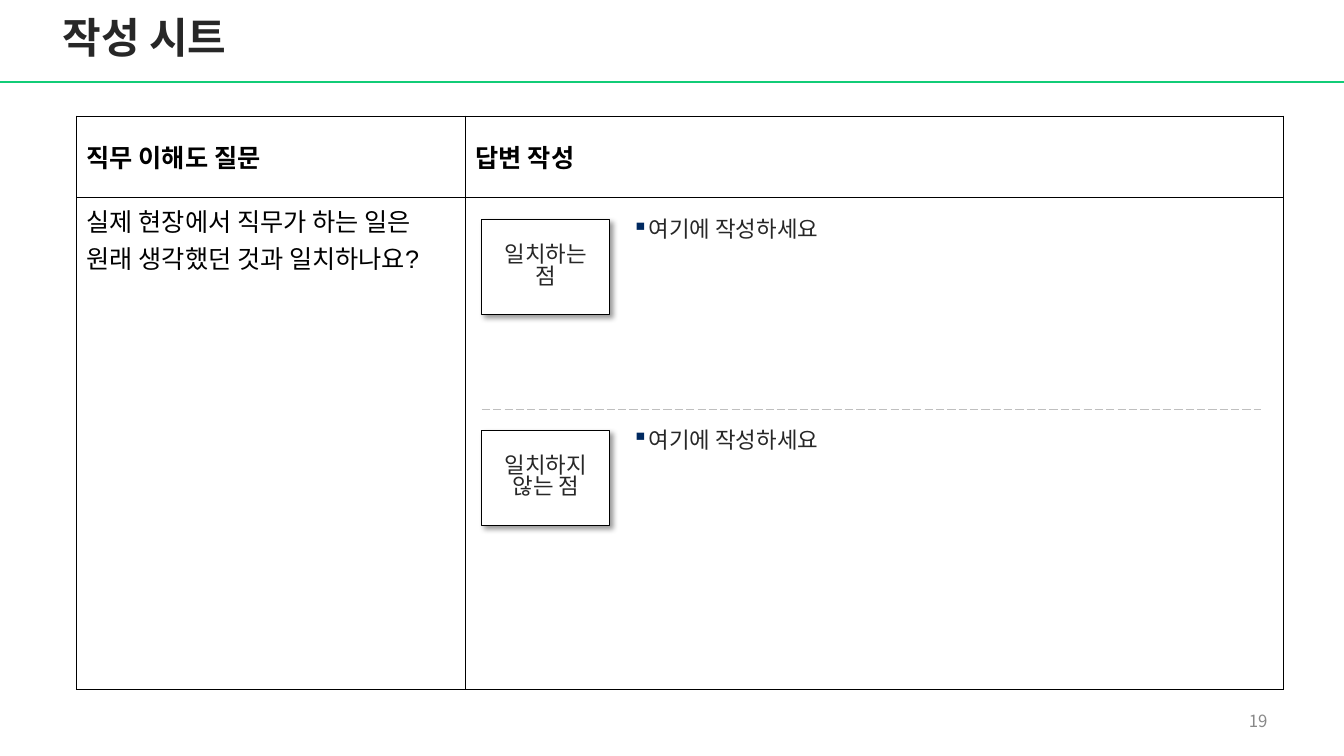
from dataclasses import dataclass

from lxml import etree
from pptx import Presentation
from pptx import util as u
from pptx.dml import color as col
from pptx.enum import dml, shapes, text
from pptx.oxml import ns


@dataclass(frozen=True)
class Theme:
    font: str = "Arial"
    cjk: str = "Noto Sans CJK KR"
    ink: str = "272727"
    black: str = "000000"
    white: str = "FFFFFF"
    green: str = "11CC77"
    navy: str = "002960"
    gray: str = "888888"
    rule: str = "BFBFBF"
    title: int = 30
    head: int = 18
    body: int = 16
    small: int = 12
    thin: float = 0.75
    thick: float = 1.5


@dataclass(frozen=True)
class Area:
    x: float
    y: float
    w: float
    h: float


@dataclass(frozen=True)
class Topic:
    label: str
    note: str


T = Theme()
WIDE, HIGH = u.Inches(13.33), u.Inches(7.5)
COLS = (28.95, 60.85)
ROWS = (10.8, 65.07)
GRID = Area(5.7, 15.35, sum(COLS), sum(ROWS))
HEADS = ("직무 이해도 질문", "답변 작성")
ASK = "실제 현장에서 직무가 하는 일은 원래 생각했던 것과 일치하나요?"
TOPICS = (
    Topic("일치하는 점", "여기에 작성하세요"),
    Topic("일치하지\v않는 점", "여기에 작성하세요"),
)
CARD = Area(35.85, 29.07, 9.53, 12.53)
NOTE = Area(47.03, 29.07, 45.45, 3.6)
STEP = 27.86


def across(share: float) -> int:
    return round(WIDE * share / 100)


def down(share: float) -> int:
    return round(HIGH * share / 100)


def place(area: Area) -> tuple[int, int, int, int]:
    return across(area.x), down(area.y), across(area.w), down(area.h)


def rgb(tone: str) -> col.RGBColor:
    return col.RGBColor.from_string(tone)


def node(top, tag: str, **attrs: str):
    return etree.SubElement(top, ns.qn(tag), attrs)


def write(frame, words: str, size: int, tone: str, bold: bool = False,
          face: str = T.font, align=text.PP_ALIGN.LEFT, space: float = 1.0):
    frame.word_wrap = True
    para = frame.paragraphs[0]
    para.text = words
    para.alignment = align
    para.line_spacing = space
    font = para.font
    font.name, font.size, font.bold = face, u.Pt(size), bold
    font.color.rgb = rgb(tone)
    return para


def label(slide, area: Area, inset: float = 0):
    frame = slide.shapes.add_textbox(*place(area)).text_frame
    frame.margin_left = frame.margin_right = u.Inches(inset)
    frame.margin_top = frame.margin_bottom = u.Inches(inset / 2)
    return frame


def line(slide, start: float, end: float, y: float, tone: str,
         weight: float, dash=None) -> None:
    rule = slide.shapes.add_connector(
        shapes.MSO_CONNECTOR.STRAIGHT, across(start), down(y), across(end), down(y))
    rule.line.color.rgb = rgb(tone)
    rule.line.width = u.Pt(weight)
    if dash is not None:
        rule.line.dash_style = dash
    node(rule._element.spPr, "a:effectLst")


def border(cell) -> None:
    props = cell._tc.get_or_add_tcPr()
    for spot, side in enumerate("LRTB"):
        edge = node(props, f"a:ln{side}", w=str(u.Pt(T.thin)))
        node(node(edge, "a:solidFill"), "a:srgbClr", val=T.black)
        props.insert(spot, edge)


def table(slide) -> None:
    grid = slide.shapes.add_table(len(ROWS), len(COLS), *place(GRID)).table
    grid.first_row = grid.horz_banding = False
    for part, share in zip(grid.columns, COLS):
        part.width = across(share)
    for part, share in zip(grid.rows, ROWS):
        part.height = down(share)
    for cell in grid.iter_cells():
        cell.fill.background()
        border(cell)
    for spot, head in enumerate(HEADS):
        cell = grid.cell(0, spot)
        cell.vertical_anchor = text.MSO_ANCHOR.MIDDLE
        write(cell.text_frame, head, T.head, T.black, bold=True)
    write(grid.cell(1, 0).text_frame, ASK, T.head, T.black)


def shade(shape) -> None:
    shape.shadow.inherit = False
    glow = node(shape._element.spPr.find(ns.qn("a:effectLst")), "a:outerShdw",
                blurRad=str(u.Pt(4)), dist=str(u.Pt(3)), dir="2700000",
                algn="tl", rotWithShape="0")
    node(node(glow, "a:srgbClr", val=T.black), "a:alpha", val="40000")


def card(slide, area: Area, words: str) -> None:
    box = slide.shapes.add_shape(shapes.MSO_SHAPE.RECTANGLE, *place(area))
    box.fill.solid()
    box.fill.fore_color.rgb = rgb(T.white)
    box.line.color.rgb = rgb(T.black)
    box.line.width = u.Pt(T.thin)
    shade(box)
    frame = box.text_frame
    frame.margin_left = frame.margin_right = u.Inches(0.12)
    frame.vertical_anchor = text.MSO_ANCHOR.MIDDLE
    write(frame, words, T.body, T.ink, align=text.PP_ALIGN.CENTER, space=0.8)


def note(slide, area: Area, words: str) -> None:
    para = write(label(slide, area), words, T.body, T.ink, space=0.85)
    props = para._p.get_or_add_pPr()
    dent = u.Inches(0.15)
    props.set("marL", str(dent))
    props.set("indent", str(-dent))
    tint = etree.Element(ns.qn("a:buClr"))
    node(tint, "a:srgbClr", val=T.navy)
    mark = etree.Element(ns.qn("a:buChar"), char="▪")
    props.find(ns.qn("a:defRPr")).addprevious(tint)
    tint.addnext(mark)


def main() -> None:
    deck = Presentation()
    deck.slide_width, deck.slide_height = WIDE, HIGH
    slide = deck.slides.add_slide(deck.slide_layouts[6])
    page = label(slide, Area(71.72, 92.67, 23.33, 5.33), 0.1)
    page.vertical_anchor = text.MSO_ANCHOR.MIDDLE
    write(page, "19", T.small, T.gray, face=T.cjk, align=text.PP_ALIGN.RIGHT)
    line(slide, 0, 100, 10.8, T.green, T.thick)
    title = label(slide, Area(4.65, 2.27, 90.85, 6.67))
    write(title, "작성 시트", T.title, T.ink, bold=True, space=0.9)
    table(slide)
    for spot, topic in enumerate(TOPICS):
        drop = spot * STEP
        card(slide, Area(CARD.x, CARD.y + drop, CARD.w, CARD.h), topic.label)
        note(slide, Area(NOTE.x, NOTE.y + drop, NOTE.w, NOTE.h), topic.note)
    line(slide, CARD.x, 93.85, 54.13, T.rule, T.thin, dml.MSO_LINE.LONG_DASH)
    deck.save("out.pptx")


if __name__ == "__main__":
    main()
